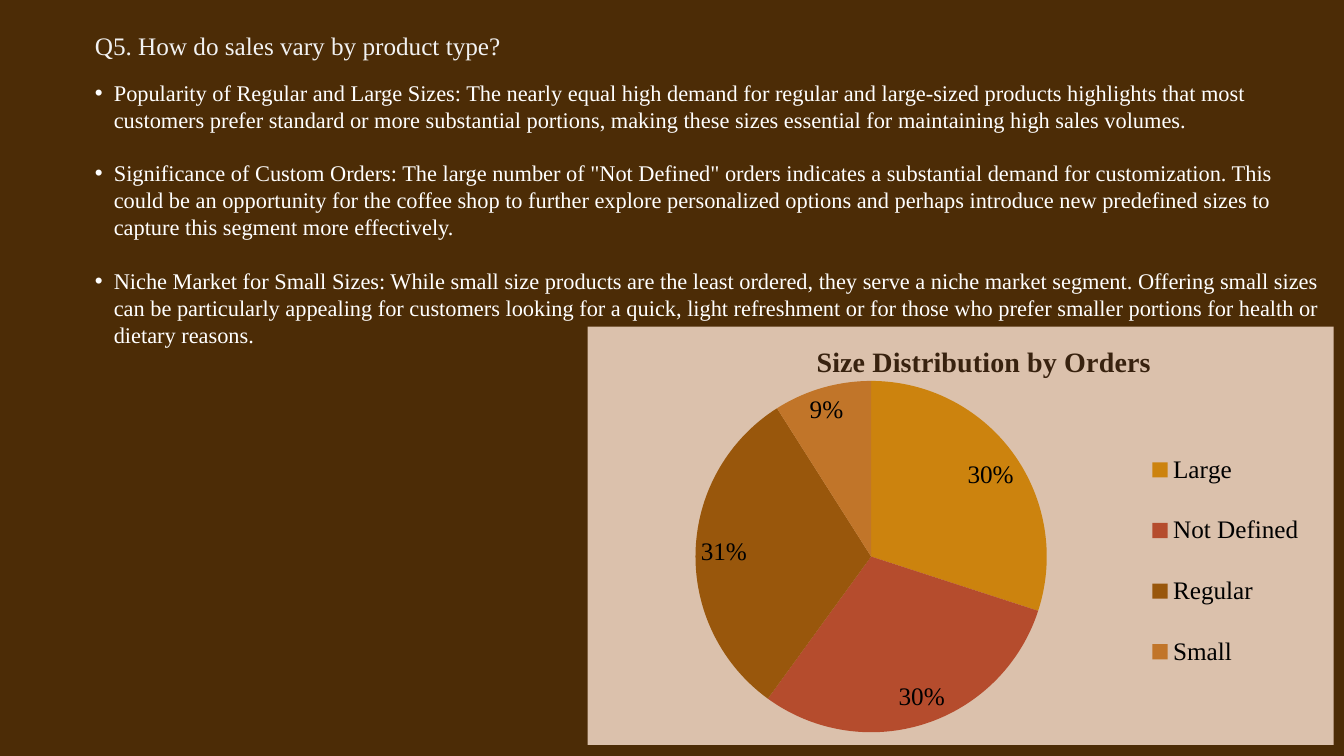
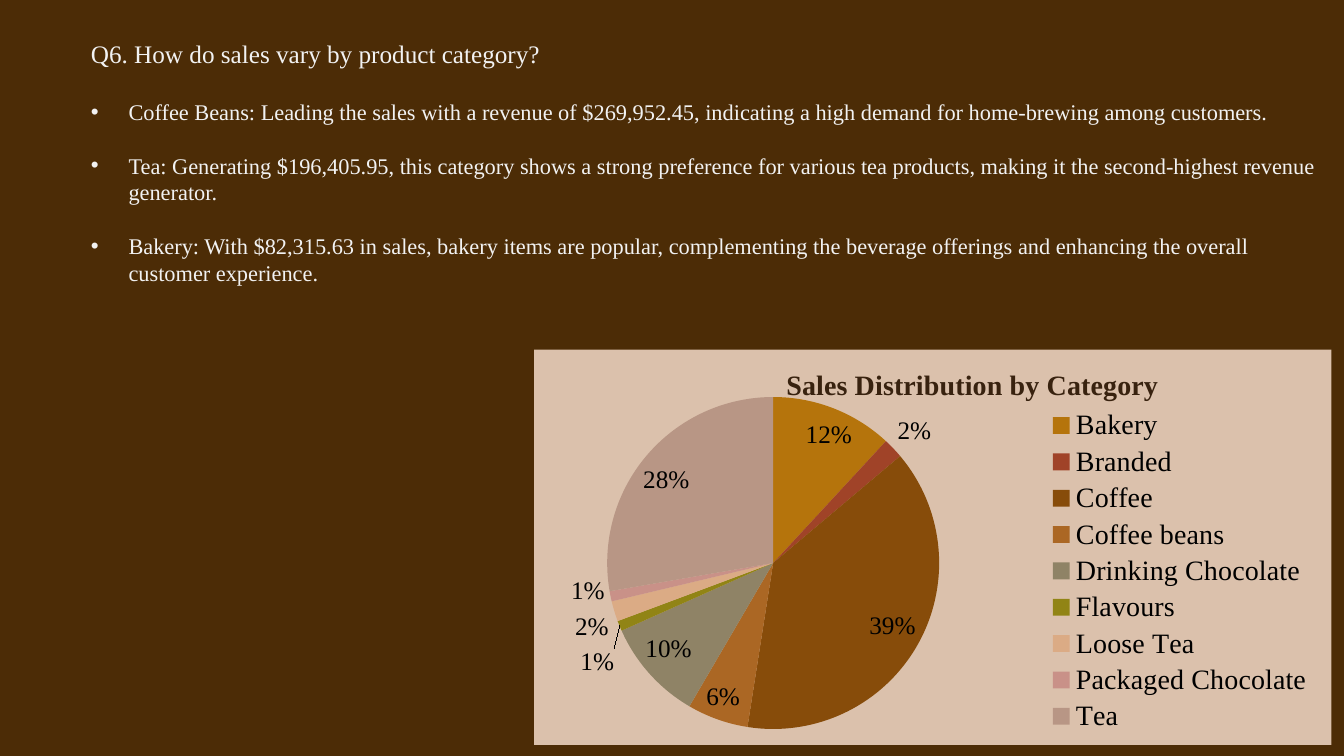
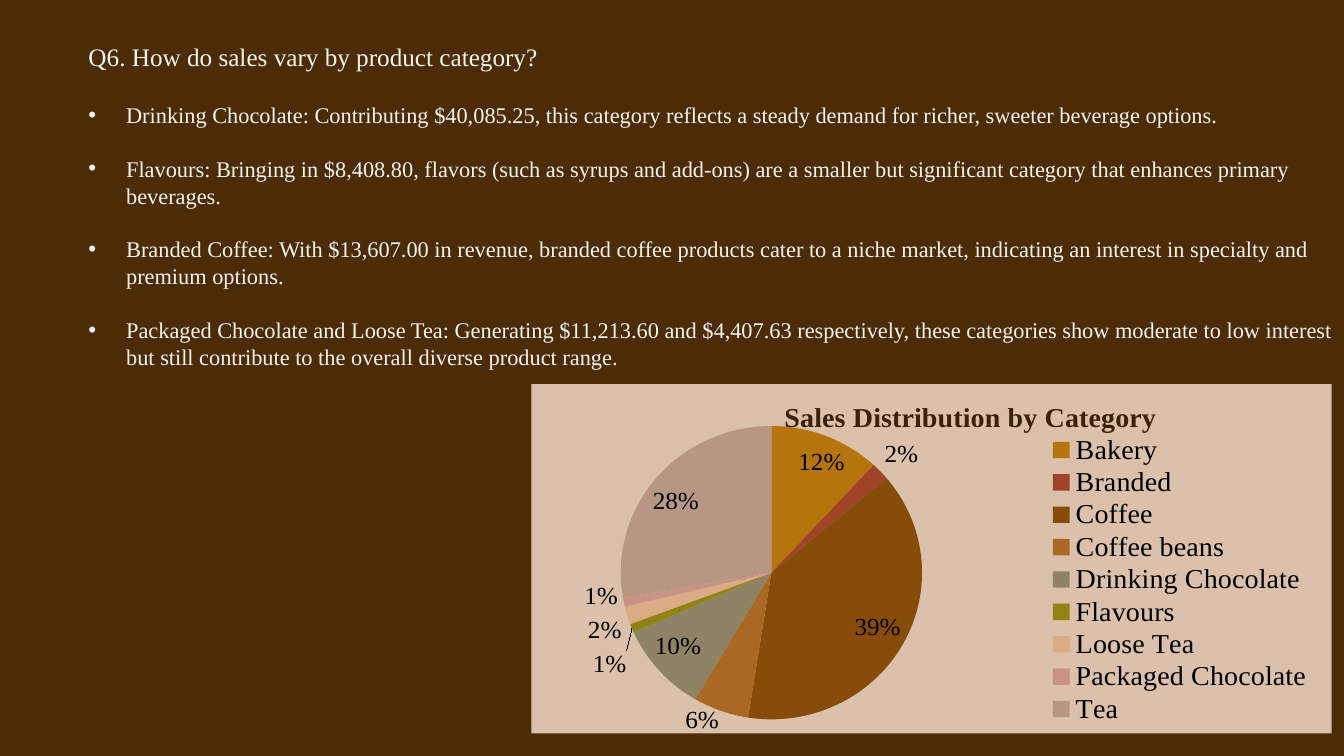
from lxml import etree
from pptx import Presentation
from pptx.chart.data import CategoryChartData
from pptx.dml.color import RGBColor
from pptx.enum.chart import XL_CHART_TYPE, XL_LABEL_POSITION, XL_LEGEND_POSITION
from pptx.enum.text import MSO_ANCHOR, MSO_AUTO_SIZE, PP_ALIGN
from pptx.oxml import parse_xml
from pptx.oxml.ns import nsdecls, qn
from pptx.util import Cm, Pt

PIE = XL_CHART_TYPE.PIE
BEST_FIT = XL_LABEL_POSITION.BEST_FIT
LEGEND_RIGHT = XL_LEGEND_POSITION.RIGHT
TOP = MSO_ANCHOR.TOP
LEFT = PP_ALIGN.LEFT
NO_FIT = MSO_AUTO_SIZE.NONE

# Shared style
FONT = "Times New Roman"
BACKGROUND, PANEL = "4C2C06", "DBC1AC"
OFF_WHITE, WHITE, BLACK, HEADING = "F2F2F2", "FFFFFF", "000000", "38220F"
BODY_LINE = Pt(19.2)
TITLE_HEIGHT = 0.9
FRAME_FORMAT = dict(word_wrap=True, auto_size=NO_FIT, vertical_anchor=TOP,
                    margin_left=0, margin_right=0, margin_top=0, margin_bottom=0)

# Content: lengths in centimetres, places inside a chart as fractions of it
SIZE_ORDERS = dict(
    title="Size Distribution by Orders", legend_size=18,
    heading_place=(0.3, 0.03), plot_place=(0.08, 0.13, 0.6, 0.84),
    legend_place=(0.73, 0.23, 0.25, 0.66),
    slices=[("Large", 30, "CC830E"), ("Not Defined", 30, "B54C2D"),
            ("Regular", 31, "99570C"), ("Small", 9, "C17529")])
CATEGORY_SALES = dict(
    title="Sales Distribution by Category", legend_size=20,
    heading_place=(0.31, 0.03), plot_place=(0.07, 0.12, 0.46, 0.84),
    legend_place=(0.63, 0.14, 0.36, 0.84),
    slices=[("Bakery", 12, "B5740C"), ("Branded", 2, "A04328"),
            ("Coffee", 39, "874C0A"), ("Coffee beans", 6, "AB6724"),
            ("Drinking Chocolate", 10, "8F8366"), ("Flavours", 1, "918415"),
            ("Loose Tea", 2, "DBAB85"), ("Packaged Chocolate", 1, "C99188"),
            ("Tea", 28, "B89685")])

SLIDES = [
    dict(question="Q5. How do sales vary by product type?",
         left=2.39, width=31.04, title_top=0.77, body_top=1.99, body_height=6.9,
         indent=0.48, color=WHITE, pie=SIZE_ORDERS, pie_box=(14.81, 8.23, 18.8, 10.54),
         findings=[
             "Popularity of Regular and Large Sizes: The nearly equal high demand for regular and large-sized products highlights that most customers prefer standard or more substantial portions, making these sizes essential for maintaining high sales volumes.",
             "Significance of Custom Orders: The large number of \"Not Defined\" orders indicates a substantial demand for customization. This could be an opportunity for the coffee shop to further explore personalized options and perhaps introduce new predefined sizes to capture this segment more effectively.",
             "Niche Market for Small Sizes: While small size products are the least ordered, they serve a niche market segment. Offering small sizes can be particularly appealing for customers looking for a quick, light refreshment or for those who prefer smaller portions for health or dietary reasons."]),
    dict(question="Q6. How do sales vary by product category?",
         left=2.29, width=31.06, title_top=0.97, body_top=2.47, body_height=4.8,
         indent=0.95, color=OFF_WHITE, pie=CATEGORY_SALES, pie_box=(13.46, 8.81, 20.09, 9.96),
         findings=[
             "Coffee Beans: Leading the sales with a revenue of $269,952.45, indicating a high demand for home-brewing among customers.",
             "Tea: Generating $196,405.95, this category shows a strong preference for various tea products, making it the second-highest revenue generator.",
             "Bakery: With $82,315.63 in sales, bakery items are popular, complementing the beverage offerings and enhancing the overall customer experience."]),
    dict(question="Q6. How do sales vary by product category?",
         left=2.23, width=31.37, title_top=1.05, body_top=2.55, body_height=6.8,
         indent=0.95, color=OFF_WHITE, pie=CATEGORY_SALES, pie_box=(13.39, 9.68, 20.17, 9.04),
         findings=[
             "Drinking Chocolate: Contributing $40,085.25, this category reflects a steady demand for richer, sweeter beverage options.",
             "Flavours: Bringing in $8,408.80, flavors (such as syrups and add-ons) are a smaller but significant category that enhances primary beverages.",
             "Branded Coffee: With $13,607.00 in revenue, branded coffee products cater to a niche market, indicating an interest in specialty and premium options.",
             "Packaged Chocolate and Loose Tea: Generating $11,213.60 and $4,407.63 respectively, these categories show moderate to low interest but still contribute to the overall diverse product range."]),
]


def apply(target, values):
    for name, value in values.items():
        setattr(target, name, value)


def paint(fill, color):
    fill.solid()
    fill.fore_color.rgb = RGBColor.from_string(color)


def style_font(font, size, color, bold=False):
    apply(font, dict(name=FONT, size=Pt(size), bold=bold))
    font.color.rgb = RGBColor.from_string(color)


def add_title(slide, page):
    title = slide.shapes.title
    apply(title, dict(left=Cm(page["left"]), top=Cm(page["title_top"]),
                      width=Cm(page["width"]), height=Cm(TITLE_HEIGHT)))
    apply(title.text_frame, FRAME_FORMAT)
    title.text_frame.text = page["question"]
    paragraph = title.text_frame.paragraphs[0]
    paragraph.alignment = LEFT
    style_font(paragraph.runs[0].font, 18, OFF_WHITE)


def add_bullet(paragraph, indent):
    properties = paragraph._p.get_or_add_pPr()
    properties.set("marL", str(Cm(indent)))
    properties.set("indent", str(-Cm(indent)))
    etree.SubElement(properties, qn("a:buFont")).set("typeface", "Arial")
    etree.SubElement(properties, qn("a:buChar")).set("char", "•")


def add_findings(slide, page):
    box = [Cm(page[key]) for key in ("left", "body_top", "width", "body_height")]
    frame = slide.shapes.add_textbox(*box).text_frame
    apply(frame, FRAME_FORMAT)
    for number, finding in enumerate(page["findings"]):
        paragraph = frame.add_paragraph() if number else frame.paragraphs[0]
        apply(paragraph, dict(line_spacing=BODY_LINE,
                              space_before=BODY_LINE if number else Pt(0)))
        add_bullet(paragraph, page["indent"])
        run = paragraph.add_run()
        run.text = finding
        style_font(run.font, 16, page["color"])


def set_panel(chart):
    chart._chartSpace.chart.addnext(parse_xml(
        f'<c:spPr {nsdecls("c", "a")}><a:solidFill><a:srgbClr val="{PANEL}"/></a:solidFill>'
        '<a:ln><a:noFill/></a:ln></c:spPr>'))


def set_place(part, fractions, after=None, target=""):
    """Fix a chart part at x, y and, if given, width and height."""
    for previous in part.findall(qn("c:layout")):
        part.remove(previous)
    places = "".join(f'<c:{key} val="{value}"/>' for key, value in zip("xywh", fractions))
    layout = parse_xml(
        f'<c:layout {nsdecls("c")}><c:manualLayout>{target}'
        f'<c:xMode val="edge"/><c:yMode val="edge"/>{places}</c:manualLayout></c:layout>')
    if after:
        part.find(qn(after)).addnext(layout)
    else:
        part.insert(0, layout)


def add_pie(slide, pie, box):
    names, shares, colors = zip(*pie["slices"])
    data = CategoryChartData()
    data.categories = names
    data.add_series("Series 1", shares)
    chart = slide.shapes.add_chart(PIE, *map(Cm, box), data).chart
    style_font(chart.font, 10, WHITE)
    set_panel(chart)

    # Heading and legend
    chart.has_title = True
    heading = chart.chart_title.text_frame
    heading.text = pie["title"]
    style_font(heading.paragraphs[0].runs[0].font, 20, HEADING, bold=True)
    chart.has_legend = True
    apply(chart.legend, dict(position=LEGEND_RIGHT, include_in_layout=False))
    style_font(chart.legend.font, pie["legend_size"], BLACK)

    # Places of the chart parts
    root = chart._chartSpace.chart
    set_place(root.plotArea, pie["plot_place"], target='<c:layoutTarget val="inner"/>')
    set_place(root.find(qn("c:title")), pie["heading_place"], after="c:tx")
    set_place(root.find(qn("c:legend")), pie["legend_place"], after="c:legendPos")

    # Slices and percentages
    chart.plots[0].vary_by_categories = True
    series = chart.plots[0].series[0]
    for index, color in enumerate(colors):
        point = series.points[index].format
        paint(point.fill, color)
        point.line.fill.background()
    labels = series.data_labels
    apply(labels, dict(show_value=False, show_percentage=True, position=BEST_FIT,
                       number_format="0%", number_format_is_linked=False))
    style_font(labels.font, 18, BLACK)


def main():
    deck = Presentation()
    apply(deck, dict(slide_width=Cm(33.87), slide_height=Cm(19.05)))
    paint(deck.slide_master.background.fill, BACKGROUND)
    title_only = deck.slide_layouts[5]
    for page in SLIDES:
        slide = deck.slides.add_slide(title_only)
        add_title(slide, page)
        add_findings(slide, page)
        add_pie(slide, page["pie"], page["pie_box"])
    deck.save("out.pptx")


if __name__ == "__main__":
    main()
